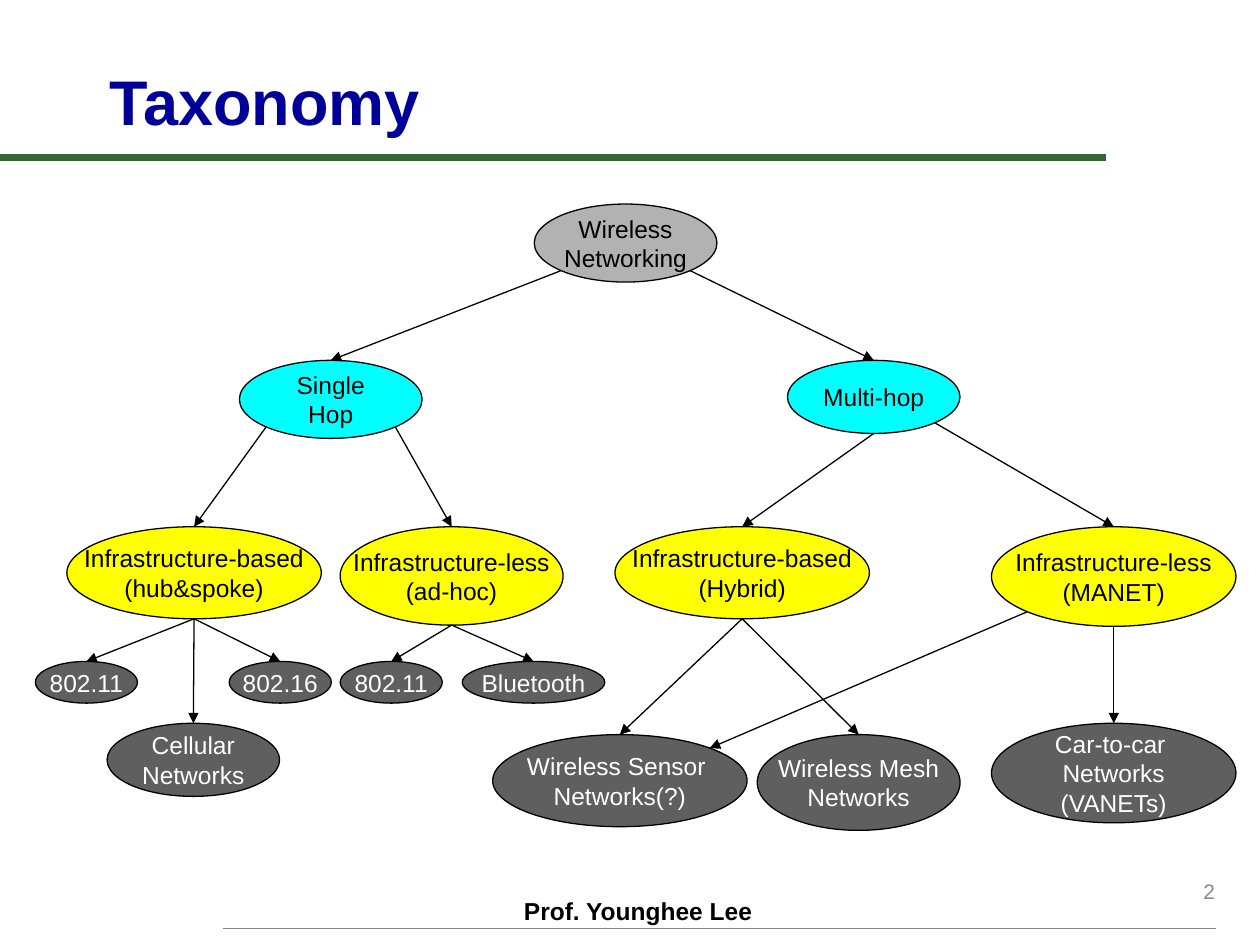
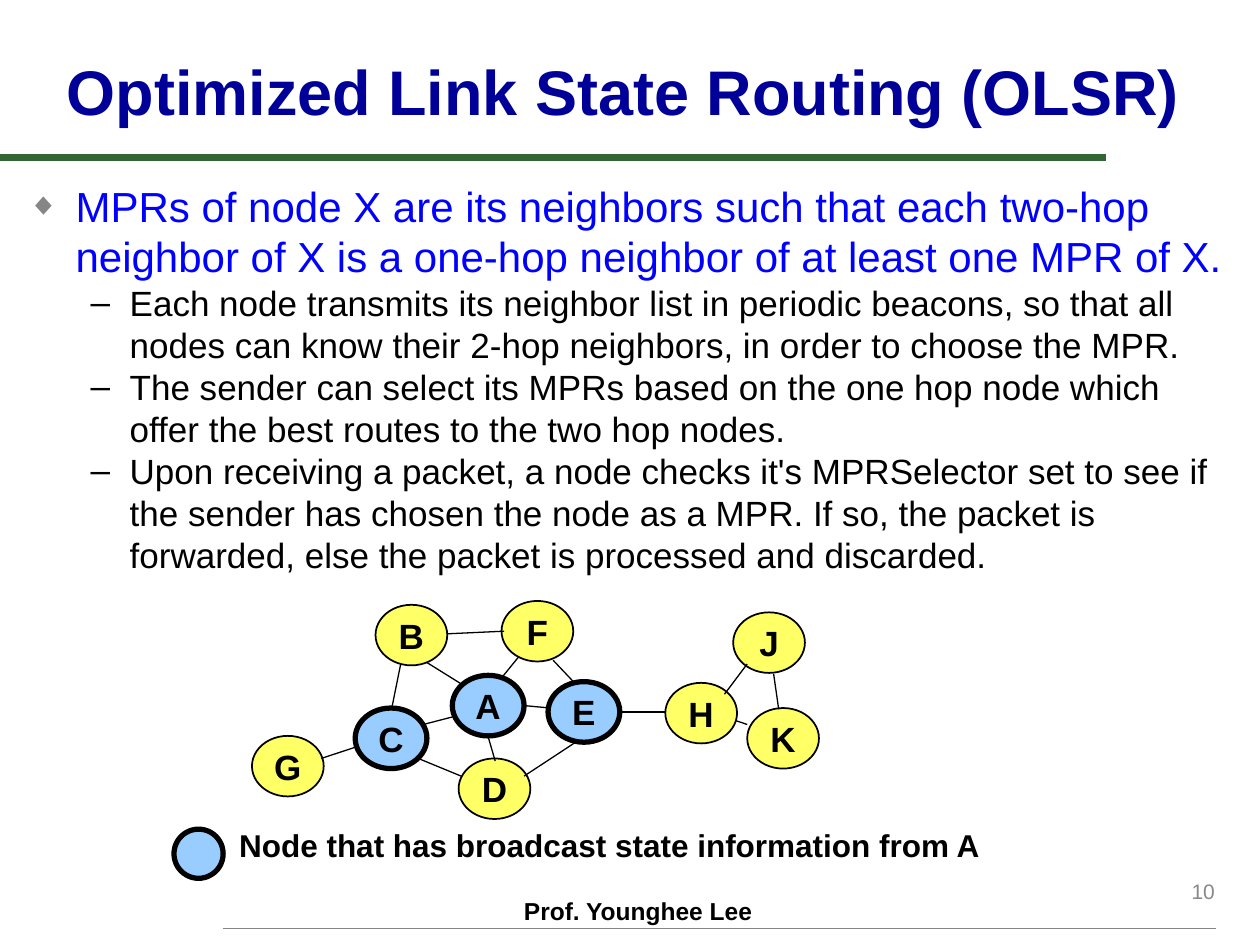
from math import sqrt

from lxml import etree
from pptx import Presentation
from pptx.dml.color import RGBColor
from pptx.enum.shapes import MSO_CONNECTOR, MSO_SHAPE
from pptx.enum.text import MSO_ANCHOR, MSO_AUTO_SIZE, PP_ALIGN
from pptx.oxml.ns import qn
from pptx.util import Pt

LINE, OVAL = MSO_CONNECTOR.STRAIGHT, MSO_SHAPE.OVAL
LEFT, CENTER, RIGHT = PP_ALIGN.LEFT, PP_ALIGN.CENTER, PP_ALIGN.RIGHT
TOP, MIDDLE, BOTTOM = MSO_ANCHOR.TOP, MSO_ANCHOR.MIDDLE, MSO_ANCHOR.BOTTOM
FONT = "Arial"
HEX = {
    "black": "000000", "white": "FFFFFF", "title": "000099", "band": "336633",
    "rule": "868686", "page": "898989", "lead": "0000FF", "root": "B2B2B2",
    "hop": "00FFFF", "infra": "FFFF00", "leaf": "5F5F5F",
    "node": "FFFF66", "relay": "99CCFF",
}

# Content: taxonomy tree, as key: (text, kind, left, top, width, height)
TREE = {
    "root": ("Wireless\nNetworking", "root", 305.3, 116.6, 104.4, 44.6),
    "single": ("Single\nHop", "hop", 136.8, 205.9, 104.4, 44.6),
    "multi": ("Multi-hop", "hop", 450, 205.9, 98.6, 41.8),
    "hub": ("Infrastructure-based\n(hub&spoke)", "infra", 38.2, 301, 145.4, 52.6),
    "adhoc": ("Infrastructure-less\n(ad-hoc)", "infra", 194.4, 301, 127.4, 56.2),
    "hybrid": ("Infrastructure-based\n(Hybrid)", "infra", 351.4, 301, 145.4, 52.6),
    "manet": ("Infrastructure-less\n(MANET)", "infra", 566.6, 301, 139.7, 56.9),
    "lan": ("802.11", "leaf", 20.2, 378, 58.3, 23.8),
    "wan": ("802.16", "leaf", 131, 378, 58.3, 23.8),
    "peer": ("802.11", "leaf", 194.4, 378, 58.3, 23.8),
    "blue": ("Bluetooth", "leaf", 264.2, 378, 81.4, 23.8),
    "cell": ("Cellular\nNetworks", "leaf", 61.2, 413.3, 98.6, 41.8),
    "sensor": ("Wireless Sensor \nNetworks(?)", "leaf", 281.5, 419.8, 145.4, 52.6),
    "mesh": ("Wireless Mesh\nNetworks", "leaf", 432.7, 419.8, 115.9, 54.7),
    "car": ("Car-to-car \nNetworks\n(VANETs)", "leaf", 566.6, 413.3, 139.7, 56.9),
}
# Arrows: parent, side it leaves from, child, side it enters
ARROWS = [
    ("root", "sw", "single", "n"), ("root", "se", "multi", "n"),
    ("single", "sw", "hub", "n"), ("single", "se", "adhoc", "n"),
    ("multi", "s", "hybrid", "n"), ("multi", "se", "manet", "n"),
    ("hub", "s", "lan", "n"), ("hub", "s", "cell", "n"), ("hub", "s", "wan", "n"),
    ("adhoc", "s", "peer", "n"), ("adhoc", "s", "blue", "n"),
    ("hybrid", "s", "sensor", "n"), ("hybrid", "s", "mesh", "n"),
    ("manet", "s", "car", "n"), ("manet", "sw", "sensor", "ne"),
]
DIAG = sqrt(0.5)
SIDES = {"n": (0, -1), "s": (0, 1), "sw": (-DIAG, DIAG),
         "se": (DIAG, DIAG), "ne": (DIAG, -DIAG)}

# Content: routing slide
POINTS = [
    (0, "MPRs of node X are its neighbors such that each two-hop neighbor of X "
        "is a one-hop neighbor of at least one MPR of X."),
    (1, "Each node transmits its neighbor list in periodic beacons, so that all "
        "nodes can know their 2-hop neighbors, in order to choose the MPR."),
    (1, "The sender can select its MPRs based on the one hop node which offer "
        "the best routes to the two hop nodes."),
    (1, "Upon receiving a packet, a node checks it's MPRSelector set to see if "
        "the sender has chosen the node as a MPR. If so, the packet is "
        "forwarded, else the packet is processed and discarded."),
]
# Level: size, colour, left margin, hang, bullet, bullet colour, bullet percent
LEVELS = [
    (24, "lead", 27.4, 27.4, "◆", "rule", 75),
    (20, "black", 58.3, 22.3, "–", "black", 100),
]
NODES = {
    "A": (258.5, 385.9), "B": (214.6, 345.6), "F": (286.6, 343.4),
    "C": (203, 404.6), "D": (262.1, 433.4), "E": (313.2, 389.5),
    "H": (380.2, 390.2), "G": (144, 420.5), "K": (427, 404.6), "J": (419, 349.9),
}
NODE_SIZE = (41, 34.6)
RELAYS = "ACE"
LINKS = [
    (183.6, 433.4, 203, 427), (244.1, 378.7, 265, 391.7),
    (241.9, 414, 258.5, 409.7), (278.6, 419.8, 283, 434.9),
    (286.6, 387.4, 296.6, 375.1), (299.5, 403.2, 314.6, 404.6),
    (355, 406.8, 380.2, 406.8), (427, 379.4, 414, 396.7),
    (420.5, 411.8, 427, 414), (442.1, 385.2, 445, 405.4),
    (229, 379.4, 223.9, 404.6), (255.6, 362.2, 288, 360.7),
    (316.1, 377.3, 327.6, 389.5), (239, 433.4, 263.5, 443.5),
    (329, 424.1, 299.5, 443.5),
]


def rgb(name):
    return RGBColor.from_string(HEX[name])


def pts(*nums):
    return [Pt(n) for n in nums]


def place(shape, box):
    shape.left, shape.top, shape.width, shape.height = pts(*box)


def style(par, size, color, bold=False, align=LEFT):
    par.alignment = align
    for run in par.runs:
        font = run.font
        font.name, font.size, font.bold = FONT, Pt(size), bold
        font.color.rgb = rgb(color)


def write(shape, text, size, color, bold=False, align=LEFT, anchor=TOP, wrap=True):
    frame = shape.text_frame
    frame.text = text
    frame.word_wrap, frame.vertical_anchor = wrap, anchor
    frame.auto_size = MSO_AUTO_SIZE.NONE
    for par in frame.paragraphs:
        style(par, size, color, bold, align)


def label(slide, box, *args, **opts):
    write(slide.shapes.add_textbox(*pts(*box)), *args, **opts)


def line(slide, ends, color="black", width=0.75, arrow=False):
    link = slide.shapes.add_connector(LINE, *pts(*ends))
    link.line.color.rgb, link.line.width = rgb(color), Pt(width)
    props = link.element.spPr
    if arrow:
        etree.SubElement(props.find(qn("a:ln")), qn("a:tailEnd"), type="triangle")
    etree.SubElement(props, qn("a:effectLst"))


def oval(slide, box, fill, width):
    shape = slide.shapes.add_shape(OVAL, *pts(*box))
    shape.shadow.inherit = False
    shape.fill.solid()
    shape.fill.fore_color.rgb = rgb(fill)
    shape.line.color.rgb, shape.line.width = rgb("black"), Pt(width)
    return shape


def start(deck, layout, title, box, page):
    """Add a slide with the shared band, footer, page number and title."""
    slide = deck.slides.add_slide(deck.slide_layouts[layout])
    line(slide, (0, 90, 632.2, 90), "band", 4)
    line(slide, (127.4, 530.6, 694.8, 530.6), "rule", 1)
    label(slide, (292.3, 508.3, 149.8, 23.8), "Prof. Younghee Lee", 14, "black", True)
    label(slide, (551.5, 491, 149.8, 36), page, 12, "page", align=RIGHT, anchor=MIDDLE)
    place(slide.shapes.title, box)
    write(slide.shapes.title, title, 36, "title", True, anchor=BOTTOM)
    return slide


def bullet(par, level):
    size, color, margin, hang, char, tint, pct = LEVELS[level]
    par.level = level
    par.space_before = Pt(0)
    style(par, size, color)
    props = par._p.get_or_add_pPr()
    props.set("marL", str(Pt(margin)))
    props.set("indent", str(-Pt(hang)))
    paint = etree.SubElement(props, qn("a:buClr"))
    etree.SubElement(paint, qn("a:srgbClr"), val=HEX[tint])
    etree.SubElement(props, qn("a:buSzPct"), val=str(pct * 1000))
    etree.SubElement(props, qn("a:buFont"), typeface=FONT)
    etree.SubElement(props, qn("a:buChar"), char=char)


def site(key, side):
    """Point on the rim of a tree oval."""
    left, top, wide, high = TREE[key][2:]
    dx, dy = SIDES[side]
    return left + wide / 2 * (1 + dx), top + high / 2 * (1 + dy)


def taxonomy(deck):
    slide = start(deck, 5, "Taxonomy", (55.4, 31.7, 586.8, 51.1), "2")
    for text, kind, *box in TREE.values():
        ink = "white" if kind == "leaf" else "black"
        write(oval(slide, box, kind, 0.75), text, 14, ink,
              align=CENTER, anchor=MIDDLE, wrap=False)
    for parent, out, child, into in ARROWS:
        line(slide, site(parent, out) + site(child, into), arrow=True)


def routing(deck):
    slide = start(deck, 1, "Optimized Link State Routing (OLSR)",
                  (31, 25.9, 651.5, 51.1), "10")
    # Bullets
    body = slide.placeholders[1]
    place(body, (8.6, 99.4, 705.6, 255.6))
    frame = body.text_frame
    frame.text = "\n".join(text for _, text in POINTS)
    frame.auto_size = MSO_AUTO_SIZE.NONE
    for par, (level, _) in zip(frame.paragraphs, POINTS):
        bullet(par, level)
    # Network
    for name, spot in NODES.items():
        fill, width = ("relay", 3) if name in RELAYS else ("node", 1)
        write(oval(slide, spot + NODE_SIZE, fill, width), name, 20, "black", True,
              align=CENTER, anchor=MIDDLE, wrap=False)
    for ends in LINKS:
        line(slide, ends)
    # Legend
    oval(slide, (99.4, 473.8, 28.1, 28.1), "relay", 3)
    label(slide, (129.6, 468.7, 441.4, 28.8),
          "Node that has broadcast state information from A", 18, "black", True,
          anchor=MIDDLE, wrap=False)


def main():
    deck = Presentation()
    deck.slide_width, deck.slide_height = pts(720, 540)
    taxonomy(deck)
    routing(deck)
    deck.save("out.pptx")


if __name__ == "__main__":
    main()
